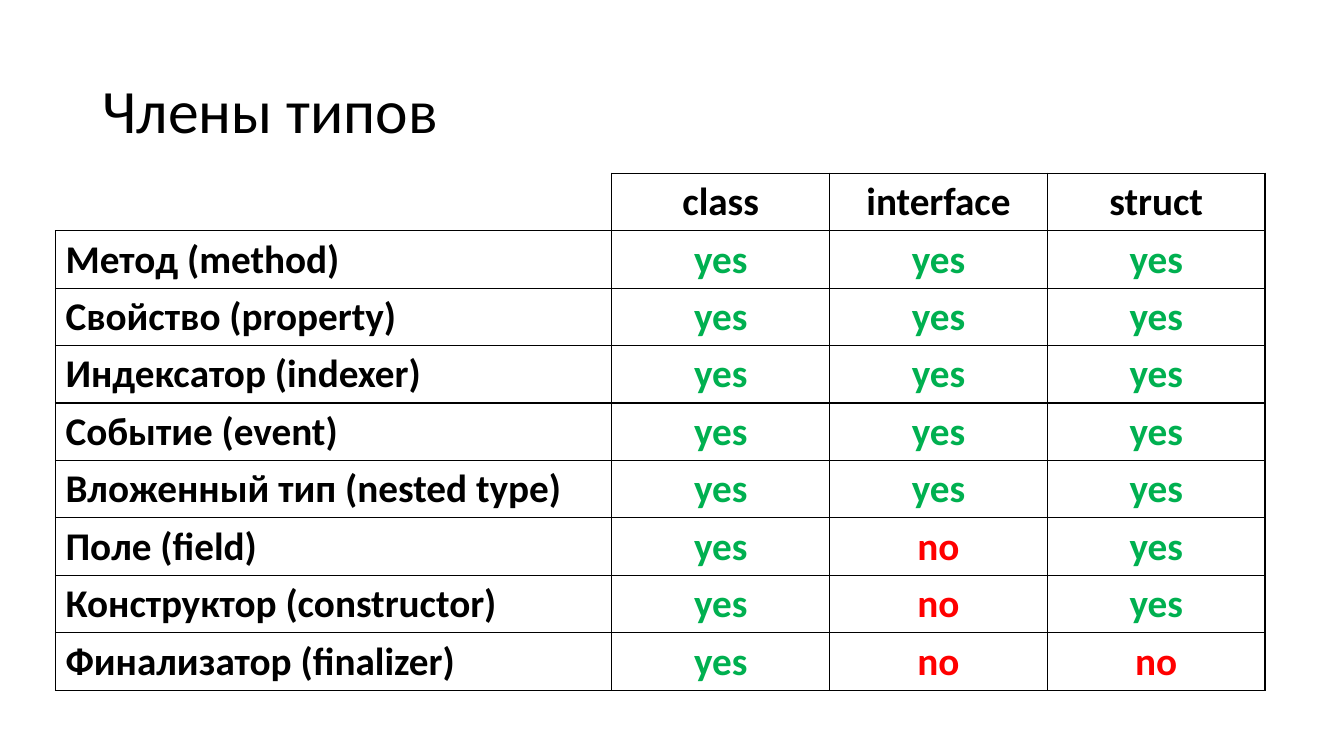
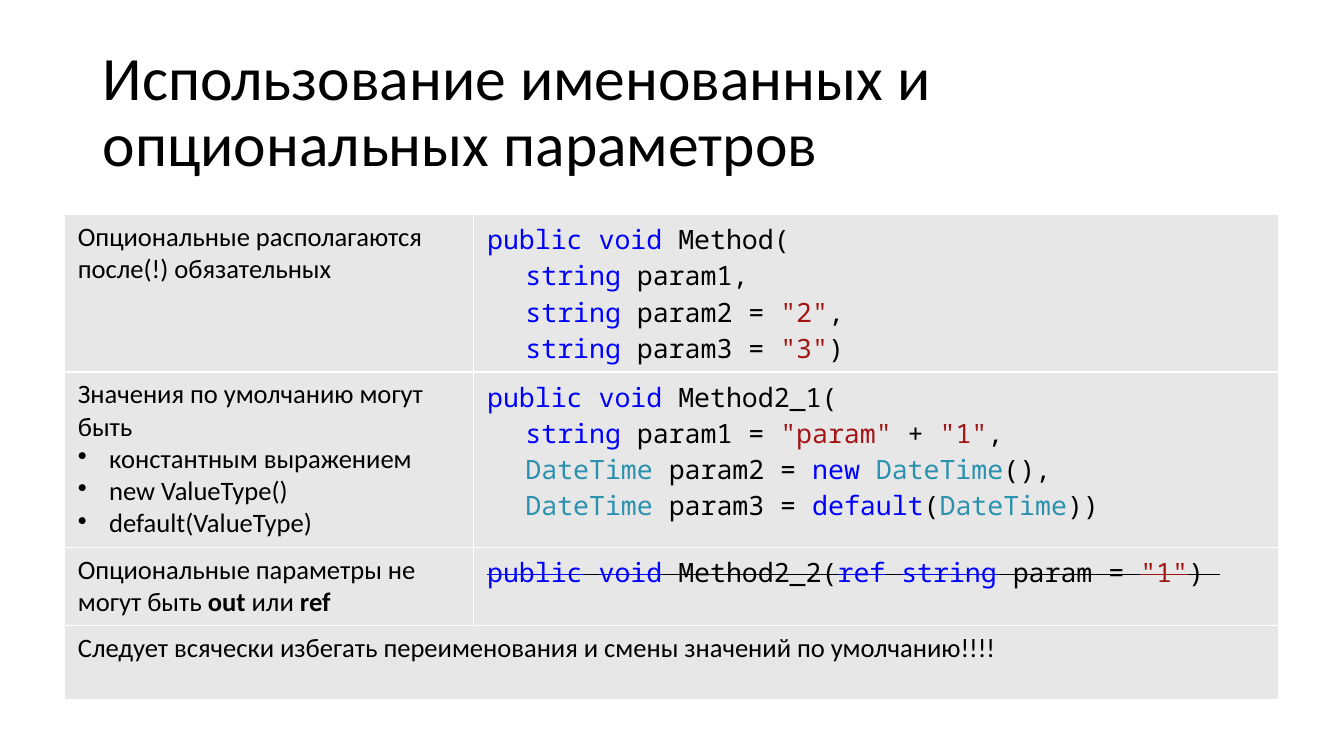
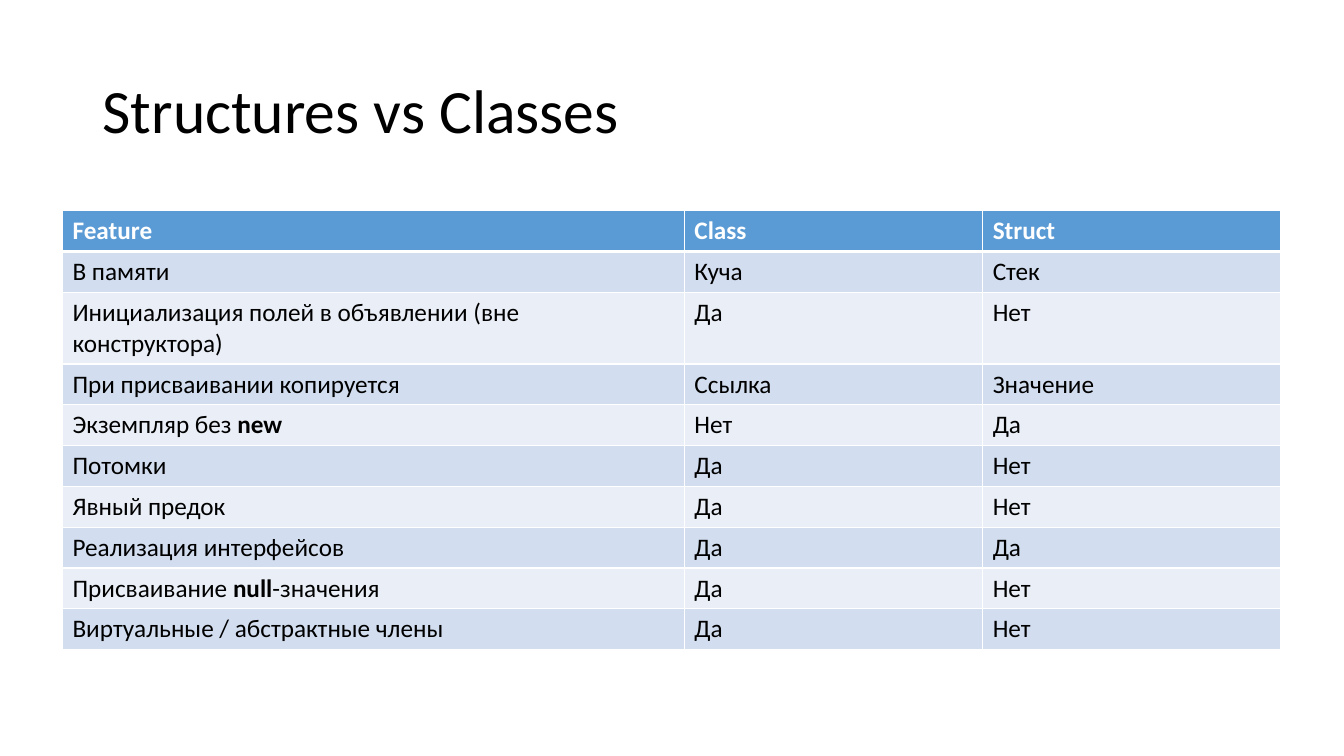
from dataclasses import dataclass

from lxml import etree
from pptx import Presentation, util as u
from pptx.dml.color import RGBColor
from pptx.enum import text
from pptx.oxml.ns import qn


@dataclass(frozen=True)
class Theme:
    body_font: str = "Calibri"
    code_font: str = "Noto Sans Mono"
    title_size: float = 44
    members_size: float = 28
    params_size: float = 19
    compare_size: float = 18
    ink: str = "000000"
    paper: str = "FFFFFF"
    yes: str = "00B050"
    no: str = "FF0000"
    keyword: str = "0000FF"
    type_name: str = "2B91AF"
    literal: str = "A31515"
    panel: str = "E7E7E7"
    header: str = "5B9BD5"
    bands: tuple = ("D2DEEF", "EAEFF7")


@dataclass(frozen=True)
class Line:
    """One paragraph: *bold* in prose; tokens split by | in code."""
    content: str
    code: bool = False
    indent: float = 0
    bullet: bool = False
    strike: bool = False


THEME = Theme()
WIDTH, HEIGHT = u.Inches(13.33), u.Inches(7.5)
KEYWORDS = {"public", "void", "string", "new", "default", "ref"}
CODE_INDENT, BULLET_INDENT = 2.85, 2.33

MEMBERS = [
    ("Метод (method)", "yes", "yes", "yes"),
    ("Свойство (property)", "yes", "yes", "yes"),
    ("Индексатор (indexer)", "yes", "yes", "yes"),
    ("Событие (event)", "yes", "yes", "yes"),
    ("Вложенный тип (nested type)", "yes", "yes", "yes"),
    ("Поле (field)", "yes", "no", "yes"),
    ("Конструктор (constructor)", "yes", "no", "yes"),
    ("Финализатор (finalizer)", "yes", "no", "no"),
]

COMPARISON = [
    ("Feature", "Class", "Struct"),
    ("В памяти", "Куча", "Стек"),
    ("Инициализация полей в объявлении (вне конструктора)", "Да", "Нет"),
    ("При присваивании копируется", "Ссылка", "Значение"),
    ("Экземпляр без *new*", "Нет", "Да"),
    ("Потомки", "Да", "Нет"),
    ("Явный предок", "Да", "Нет"),
    ("Реализация интерфейсов", "Да", "Да"),
    ("Присваивание *null*-значения", "Да", "Нет"),
    ("Виртуальные / абстрактные члены", "Да", "Нет"),
]


def across(percent):
    return u.Emu(round(WIDTH * percent / 100))


def down(percent):
    return u.Emu(round(HEIGHT * percent / 100))


def code(head, *arguments):
    return [Line(head, code=True)] + [
        Line(argument, code=True, indent=CODE_INDENT) for argument in arguments]


PARAMETERS = [
    ([Line("Опциональные располагаются после(!) обязательных")],
     code("public| |void| Method(",
          "string| param1,",
          'string| param2 = |"2"|,',
          'string| param3 = |"3"|)')),
    ([Line("Значения по умолчанию могут быть")] + [
        Line(value, indent=BULLET_INDENT, bullet=True)
        for value in ("константным выражением", "new ValueType()", "default(ValueType)")],
     code("public| |void| Method2_1(",
          'string| param1 = |"param"| + |"1"|,',
          "DateTime| param2 = |new| |DateTime|(),",
          "DateTime| param3 = |default|(|DateTime|))")),
    ([Line("Опциональные параметры не могут быть *out* или *ref*")],
     [Line('public| |void| Method2_2(|ref| |string| param = |"1"|) ',
           code=True, strike=True)]),
    ([Line("Следует всячески избегать переименования и смены значений по умолчанию!!!!")],
     None),
]


def token_color(token):
    if token in KEYWORDS:
        return THEME.keyword
    if token == "DateTime":
        return THEME.type_name
    return THEME.literal if token.startswith('"') else THEME.ink


def write_line(paragraph, line, size, color=THEME.ink, bold=False):
    font = paragraph.font
    font.size = u.Pt(size)
    font.name = THEME.code_font if line.code else THEME.body_font
    font.bold = bold
    font.color.rgb = RGBColor.from_string(color)
    for index, part in enumerate(line.content.split("|" if line.code else "*")):
        if not part:
            continue
        run = paragraph.add_run()
        run.text = part
        if line.code:
            run.font.color.rgb = RGBColor.from_string(token_color(part))
        elif index % 2:
            run.font.bold = True
        if line.strike:
            run._r.get_or_add_rPr().set("strike", "sngStrike")
    if line.indent:
        properties = paragraph._p.get_or_add_pPr()
        properties.set("marL", str(across(line.indent)))
        if line.bullet:
            properties.set("indent", str(-across(line.indent)))
            bullet = etree.Element(qn("a:buChar"), char="•")
            properties.insert(0, bullet)


def write_cell(cell, lines, size, fill=None, align=None, **style):
    if fill:
        cell.fill.solid()
        cell.fill.fore_color.rgb = RGBColor.from_string(fill)
    else:
        cell.fill.background()
    for index, line in enumerate(lines):
        frame = cell.text_frame
        paragraph = frame.add_paragraph() if index else frame.paragraphs[0]
        paragraph.alignment = align
        write_line(paragraph, line, size, **style)


def set_borders(cell, color, left=1, right=1, top=1, bottom=1):
    """Draw the four edges; a width of 0 hides an edge."""
    edges = {"a:lnL": left, "a:lnR": right, "a:lnT": top, "a:lnB": bottom}
    properties = cell._tc.get_or_add_tcPr()
    for position, (tag, width) in enumerate(edges.items()):
        edge = etree.Element(qn(tag), w=str(u.Pt(width)))
        if width:
            paint = etree.SubElement(edge, qn("a:solidFill"))
            etree.SubElement(paint, qn("a:srgbClr"), val=color)
        else:
            etree.SubElement(edge, qn("a:noFill"))
        properties.insert(position, edge)


def add_grid(slide, left, top, columns, rows):
    """Add a plain table; all lengths are percent of the slide."""
    table = slide.shapes.add_table(
        len(rows), len(columns), across(left), down(top),
        across(sum(columns)), down(sum(rows))).table
    table.first_row = table.horz_banding = False
    for column, width in zip(table.columns, columns):
        column.width = across(width)
    for row, height in zip(table.rows, rows):
        row.height = down(height)
    return table


def add_titled_slide(deck, title):
    slide = deck.slides.add_slide(deck.slide_layouts[6])
    frame = slide.shapes.add_textbox(
        across(6.9), down(5.33), across(86.25), down(19.33)).text_frame
    frame.word_wrap = True
    frame.vertical_anchor = text.MSO_ANCHOR.MIDDLE
    frame.paragraphs[0].line_spacing = 0.9
    write_line(frame.paragraphs[0], Line(title), THEME.title_size)
    return slide


def add_members(deck):
    slide = add_titled_slide(deck, "Члены типов")
    rows = [("", "class", "interface", "struct")] + MEMBERS
    table = add_grid(slide, 4.13, 22.93, [41.4] + [16.2] * 3, [7.6] * len(rows))
    answers = {"yes": THEME.yes, "no": THEME.no}
    for r, row in enumerate(rows):
        for c, label in enumerate(row):
            cell = table.cell(r, c)
            cell.vertical_anchor = text.MSO_ANCHOR.MIDDLE
            write_cell(cell, [Line(label)], THEME.members_size, bold=True,
                       color=answers.get(label, THEME.ink),
                       align=text.PP_ALIGN.CENTER if c else text.PP_ALIGN.LEFT)
            outer = 1 if r or c else 0
            set_borders(cell, THEME.ink, left=outer, top=outer)


def add_parameters(deck):
    slide = add_titled_slide(deck, "Использование именованных и опциональных параметров")
    table = add_grid(slide, 4.8, 28.4, [30.45, 59.92], [20.8, 23.2, 10.3, 9.9])
    for r, row in enumerate(PARAMETERS):
        for c, lines in enumerate(row):
            cell = table.cell(r, c)
            cell.margin_left = cell.margin_right = across(1)
            cell.margin_top = cell.margin_bottom = down(0.9)
            write_cell(cell, lines or [], THEME.params_size, fill=THEME.panel)
            set_borders(cell, THEME.paper)
    last = len(PARAMETERS) - 1
    table.cell(last, 0).merge(table.cell(last, 1))


def add_comparison(deck):
    slide = add_titled_slide(deck, "Structures vs Classes")
    heights = [9.5 if r == 2 else 5.4 for r in range(len(COMPARISON))]
    table = add_grid(slide, 4.65, 27.87, [46.27, 22.2, 22.2], heights)
    for r, row in enumerate(COMPARISON):
        heading = r == 0
        for c, label in enumerate(row):
            cell = table.cell(r, c)
            write_cell(cell, [Line(label)], THEME.compare_size, bold=heading,
                       color=THEME.paper if heading else THEME.ink,
                       fill=THEME.header if heading else THEME.bands[(r - 1) % 2])
            set_borders(cell, THEME.paper, top=3 if r == 1 else 1,
                        bottom=3 if heading else 1)


def main():
    deck = Presentation()
    deck.slide_width, deck.slide_height = WIDTH, HEIGHT
    add_members(deck)
    add_parameters(deck)
    add_comparison(deck)
    deck.save("out.pptx")


if __name__ == "__main__":
    main()
